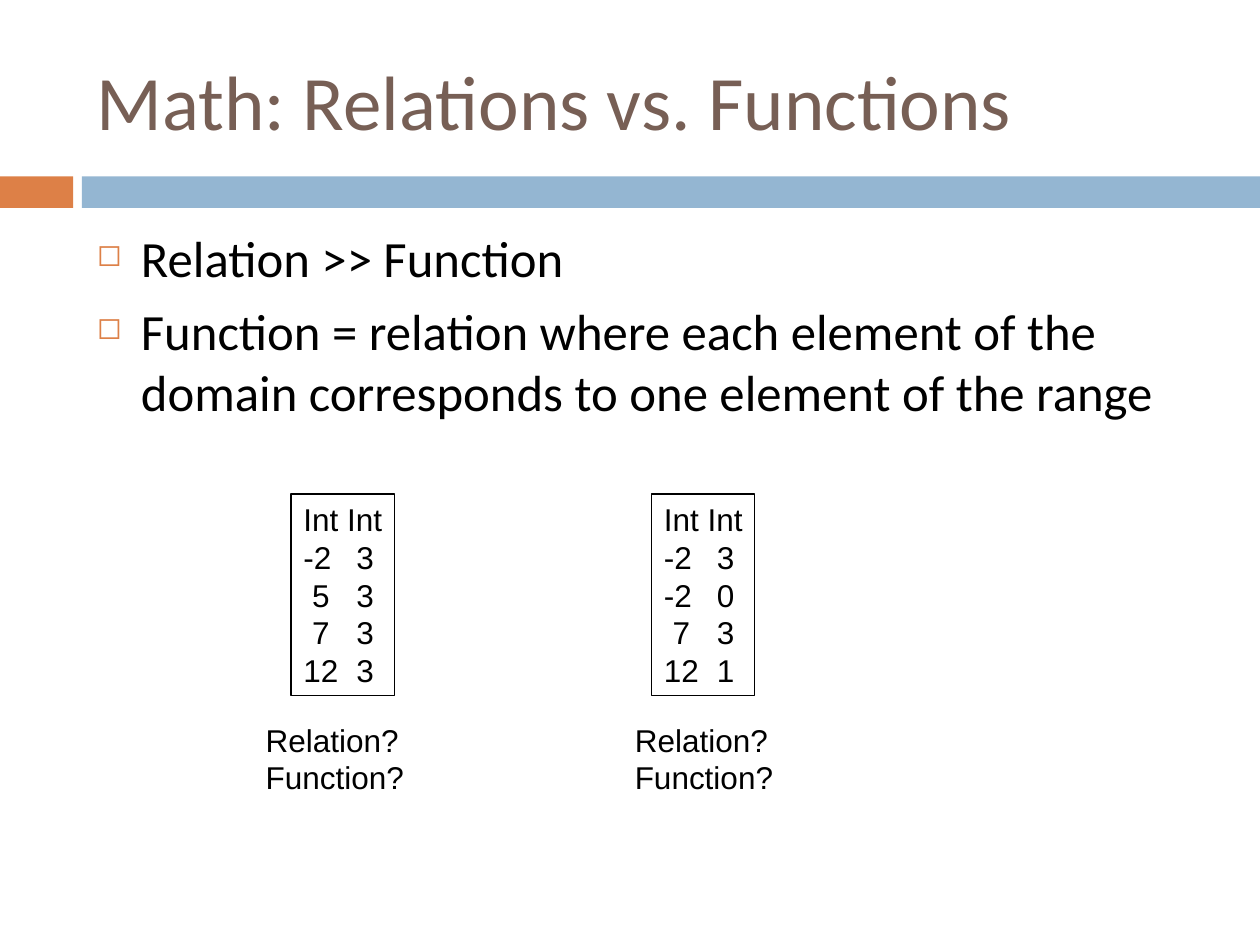
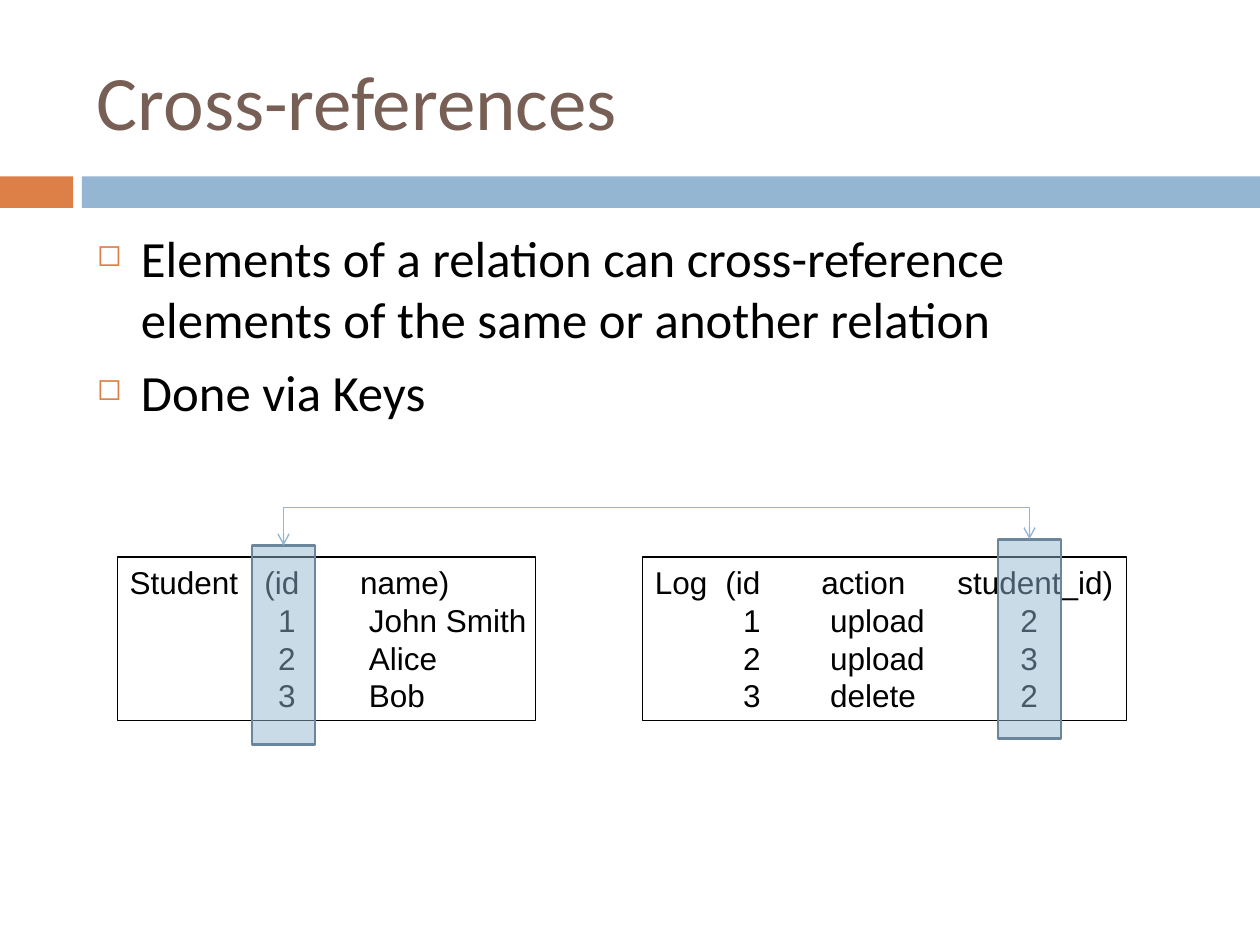
import dataclasses

import lxml.etree
import pptx
import pptx.dml.color
import pptx.enum.shapes
import pptx.enum.text
import pptx.oxml.ns
import pptx.shapes.autoshape
import pptx.slide
import pptx.text.text
import pptx.util

Inches = pptx.util.Inches
Pt = pptx.util.Pt
RGBColor = pptx.dml.color.RGBColor
qn = pptx.oxml.ns.qn

ORANGE = RGBColor(0xDD, 0x80, 0x47)
BLUE = RGBColor(0x94, 0xB6, 0xD2)
SLATE = RGBColor(0x6B, 0x85, 0x9A)
BROWN = RGBColor(0x77, 0x5F, 0x55)
BLACK = RGBColor(0, 0, 0)

TITLE_FONT = {"name": "Calibri", "size": Pt(44), "color": BROWN}
BODY_FONT = {"name": "Calibri", "size": Pt(29), "color": BLACK}
DATA_FONT = {"name": "Arial", "size": Pt(18), "color": BLACK}

KEY_WIDTH = 0.5
KEY_HEIGHT = 1.58


@dataclasses.dataclass(frozen=True)
class Box:
    left: float
    top: float
    width: float
    height: float

    def emu(self) -> list[int]:
        return [Inches(v) for v in dataclasses.astuple(self)]


@dataclasses.dataclass(frozen=True)
class Relation:
    box: Box
    header: str
    rows: tuple[str, ...]
    header_tabs: tuple[float, ...] = ()
    row_tabs: tuple[float, ...] = ()


TITLE = Box(0.67, 0.25, 8.92, 1.08)
BODY = Box(0.67, 1.75, 8.92, 4.92)
BANDS = ((Box(0, 1.4, 0.58, 0.25), ORANGE), (Box(0.65, 1.4, 9.35, 0.25), BLUE))

INT_PAIRS = tuple(
    Relation(Box(left, 3.92, 0.82, 1.6), "Int Int", rows, row_tabs=(0.42,))
    for left, rows in (
        (2.31, ("-2\t3", " 5\t3", " 7\t3", "12\t3")),
        (5.17, ("-2\t3", "-2\t0", " 7\t3", "12\t1")),
    )
)
QUESTIONS = [Box(left, 5.67, 1.3, 0.7) for left in (2.01, 4.94)]

RECORDS = (
    Relation(
        Box(0.93, 4.42, 3.32, 1.3),
        "Student\t(id\tname)",
        ("\t1\tJohn Smith", "\t2\tAlice", "\t3\tBob"),
        (1.07, 1.83),
        (1.18, 1.9),
    ),
    Relation(
        Box(5.1, 4.42, 3.84, 1.3),
        "Log\t(id\taction\tstudent_id)",
        ("\t1\tupload\t2", "\t2\tupload\t3", "\t3\tdelete\t2"),
        (0.56, 1.32, 2.4),
        (0.7, 1.39, 2.9),
    ),
)
KEYS = [Box(left, top, KEY_WIDTH, KEY_HEIGHT) for left, top in ((2, 4.33), (7.92, 4.28))]


def write(p: pptx.text.text._Paragraph, text: str, style: dict) -> None:
    r = p.add_run()
    r.text = text
    for name, value in style.items():
        if name == "color":
            r.font.color.rgb = value
        else:
            setattr(r.font, name, value)


def write_lines(tf: pptx.text.text.TextFrame, lines: list[str], style: dict) -> None:
    for i, line in enumerate(lines):
        p = tf.add_paragraph() if i else tf.paragraphs[0]
        p.alignment = pptx.enum.text.PP_ALIGN.LEFT
        write(p, line, style)


def add_text(s: pptx.slide.Slide, box: Box, lines: list[str], style: dict) -> pptx.text.text.TextFrame:
    tf = s.shapes.add_textbox(*box.emu()).text_frame
    tf.word_wrap = True
    write_lines(tf, lines, style)
    return tf


def add_rect(
    s: pptx.slide.Slide, box: Box, fill: RGBColor | None = None,
    line: RGBColor | None = None, weight: float = 0.75,
) -> pptx.shapes.autoshape.Shape:
    sp = s.shapes.add_shape(pptx.enum.shapes.MSO_SHAPE.RECTANGLE, *box.emu())
    sp.shadow.inherit = False
    if fill is None:
        sp.fill.background()
    else:
        sp.fill.solid()
        sp.fill.fore_color.rgb = fill
    if line is None:
        sp.line.fill.background()
    else:
        sp.line.color.rgb = line
        sp.line.width = Pt(weight)
    return sp


def add_bullet(p: pptx.text.text._Paragraph) -> None:
    p.space_before = Pt(7)
    pPr = p._p.get_or_add_pPr()
    pPr.set("marL", str(Inches(0.35)))
    pPr.set("indent", str(-Inches(0.35)))
    color = lxml.etree.SubElement(pPr, qn("a:buClr"))
    lxml.etree.SubElement(color, qn("a:srgbClr"), val=str(ORANGE))
    lxml.etree.SubElement(pPr, qn("a:buSzPct"), val="60000")
    lxml.etree.SubElement(pPr, qn("a:buChar"), char="◻")


def set_tabs(p: pptx.text.text._Paragraph, stops: tuple[float, ...]) -> None:
    tabs = lxml.etree.SubElement(p._p.get_or_add_pPr(), qn("a:tabLst"))
    for stop in stops:
        lxml.etree.SubElement(tabs, qn("a:tab"), pos=str(Inches(stop)), algn="l")


def add_relation(s: pptx.slide.Slide, relation: Relation) -> None:
    tf = add_rect(s, relation.box, line=BLACK).text_frame
    layout = {
        "word_wrap": True,
        "margin_right": 0,
        "vertical_anchor": pptx.enum.text.MSO_ANCHOR.TOP,
    }
    for name, value in layout.items():
        setattr(tf, name, value)
    write_lines(tf, [relation.header, *relation.rows], DATA_FONT)
    for i, p in enumerate(tf.paragraphs):
        stops = relation.row_tabs if i else relation.header_tabs
        if stops:
            set_tabs(p, stops)


def add_key(s: pptx.slide.Slide, box: Box) -> None:
    sp = add_rect(s, box, BLUE, SLATE, 1.5)
    color = sp._element.spPr.find(qn("a:solidFill")).find(qn("a:srgbClr"))
    lxml.etree.SubElement(color, qn("a:alpha"), val="49000")


def add_key_link(s: pptx.slide.Slide, start: Box, end: Box, rise: float) -> None:
    drop = start.top - end.top
    span = end.left - start.left
    x = (start.left + end.left + KEY_WIDTH) / 2
    y = (start.top + end.top) / 2
    c = s.shapes.add_connector(
        pptx.enum.shapes.MSO_CONNECTOR.ELBOW,
        Inches(x + drop / 2), Inches(y + span / 2),
        Inches(x - drop / 2), Inches(y - span / 2),
    )
    c.line.color.rgb = BLUE
    c.line.width = Pt(0.79)
    spPr = c._element.spPr
    spPr.find(qn("a:xfrm")).set("rot", "5400000")
    geom = spPr.find(qn("a:prstGeom"))
    guides = geom.find(qn("a:avLst"))
    if guides is None:
        guides = lxml.etree.SubElement(geom, qn("a:avLst"))
    lxml.etree.SubElement(
        guides, qn("a:gd"), name="adj1", fmla=f"val {round(rise / drop * 100000)}"
    )
    ln = spPr.find(qn("a:ln"))
    for tag in ("a:headEnd", "a:tailEnd"):
        lxml.etree.SubElement(ln, qn(tag), type="arrow")
    lxml.etree.SubElement(spPr, qn("a:effectLst"))


def add_slide(prs: pptx.presentation.Presentation, title: str, bullets: list[str]) -> pptx.slide.Slide:
    s = prs.slides.add_slide(prs.slide_layouts[6])
    for box, color in BANDS:
        add_rect(s, box, color)
    tf = add_text(s, TITLE, [title], TITLE_FONT)
    tf.vertical_anchor = pptx.enum.text.MSO_ANCHOR.MIDDLE
    for p in add_text(s, BODY, bullets, BODY_FONT).paragraphs:
        add_bullet(p)
    return s


def add_functions_slide(prs: pptx.presentation.Presentation) -> None:
    s = add_slide(prs, "Math: Relations vs. Functions", [
        "Relation >> Function",
        "Function = relation where each element of the domain corresponds to one element of the range",
    ])
    for relation in INT_PAIRS:
        add_relation(s, relation)
    for box in QUESTIONS:
        add_text(s, box, ["Relation?", "Function?"], DATA_FONT)


def add_references_slide(prs: pptx.presentation.Presentation) -> None:
    s = add_slide(prs, "Cross-references", [
        "Elements of a relation can cross-reference elements of the same or another relation",
        "Done via Keys",
    ])
    for relation in RECORDS:
        add_relation(s, relation)
    for box in KEYS:
        add_key(s, box)
    add_key_link(s, *KEYS, rise=0.3)


def main() -> None:
    prs = pptx.Presentation()
    prs.slide_width = Inches(10)
    prs.slide_height = Inches(7.5)
    add_functions_slide(prs)
    add_references_slide(prs)
    prs.save("out.pptx")


if __name__ == "__main__":
    main()
